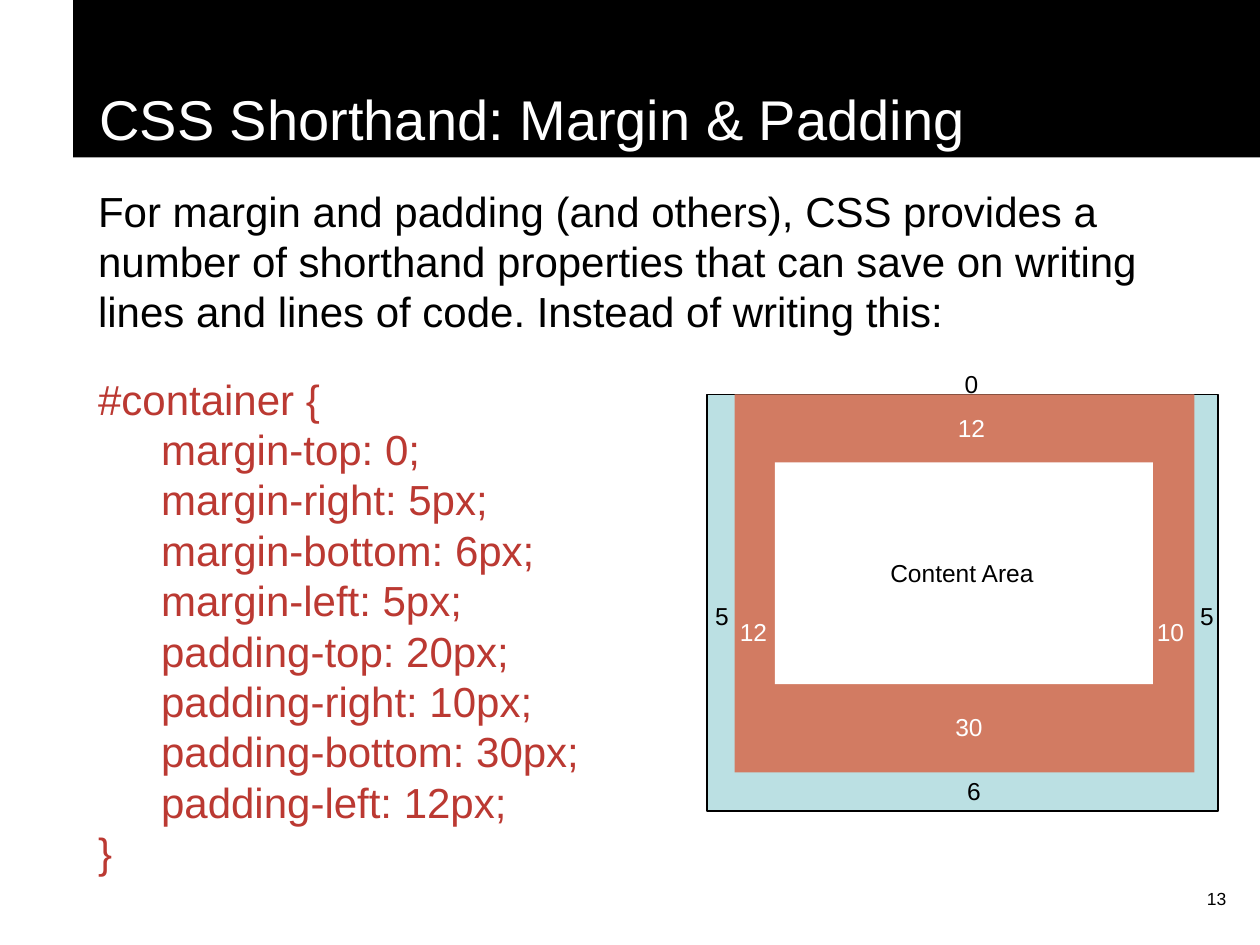
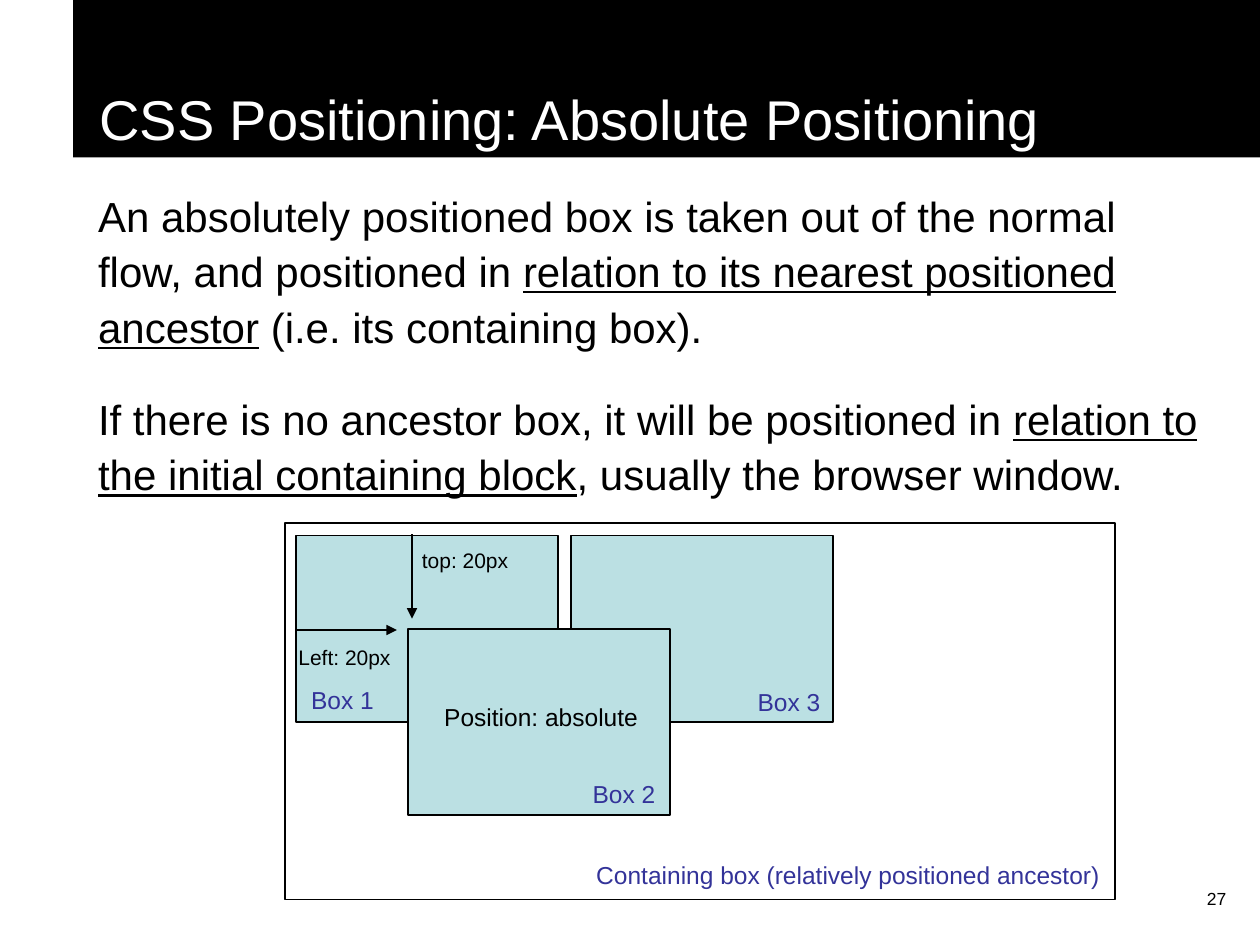
from lxml import etree
from pptx import Presentation, util as u
from pptx.dml.color import RGBColor
from pptx.enum import shapes, text
from pptx.oxml.ns import qn

BLACK = RGBColor(0, 0, 0)
WHITE = RGBColor(0xFF, 0xFF, 0xFF)
CODE_RED = RGBColor(0xBB, 0x39, 0x32)
PALE_BLUE = RGBColor(0xBB, 0xE0, 0xE3)
CLAY = RGBColor(0xD2, 0x7B, 0x62)
LABEL_BLUE = RGBColor(0x33, 0x33, 0x99)

FONT = "Arial"
LEFT, CENTER, RIGHT = text.PP_ALIGN.LEFT, text.PP_ALIGN.CENTER, text.PP_ALIGN.RIGHT
LINE_RATIO = 1.2  # line pitch relative to the text size
LABEL_H = 0.34


def inches(*lengths):
    return [u.Inches(length) for length in lengths]


def add_run(paragraph, words, size, color, underline=None):
    run = paragraph.add_run()
    run.text = words
    run.font.name = FONT
    run.font.size = u.Pt(size)
    run.font.color.rgb = color
    run.font.underline = underline


def set_indent(paragraph, left):
    properties = paragraph._p.get_or_add_pPr()
    properties.set("marL", str(u.Inches(left)))
    properties.set("indent", "0")


def set_tabs(paragraph, stops):
    tab_list = etree.SubElement(paragraph._p.get_or_add_pPr(), qn("a:tabLst"))
    for stop in stops:
        etree.SubElement(tab_list, qn("a:tab"), pos=str(u.Inches(stop)), algn="l")


def add_rect(slide, box, fill=None, outlined=False):
    rect = slide.shapes.add_shape(shapes.MSO_SHAPE.RECTANGLE, *inches(*box))
    rect.shadow.inherit = False
    if fill is None:
        rect.fill.background()
    else:
        rect.fill.solid()
        rect.fill.fore_color.rgb = fill
    if outlined:
        rect.line.color.rgb = BLACK
        rect.line.width = u.Pt(1)
    else:
        rect.line.fill.background()
    return rect


def add_label(slide, box, words, size=14, color=BLACK, align=CENTER):
    label = slide.shapes.add_textbox(*inches(*box)).text_frame
    label.word_wrap = True
    line = label.paragraphs[0]
    line.alignment = align
    line.line_spacing = u.Pt(size * LINE_RATIO)
    add_run(line, words, size, color)


def add_arrow(slide, start, end):
    arrow = slide.shapes.add_connector(
        shapes.MSO_CONNECTOR.STRAIGHT, *inches(*start, *end))
    arrow.line.color.rgb = BLACK
    arrow.line.width = u.Pt(0.75)
    etree.SubElement(arrow.line._get_or_add_ln(), qn("a:tailEnd"), type="triangle")
    etree.SubElement(arrow._element.spPr, qn("a:effectLst"))


def add_frame(prs, title, number):
    """Blank slide with page number and title band."""
    slide = prs.slides.add_slide(prs.slide_layouts[6])
    add_label(slide, (7.75, 7, 2.08, 0.5), number, 10, align=RIGHT)
    band = add_rect(slide, (0.58, 0, 9.42, 1.25), BLACK).text_frame
    band.word_wrap = True
    band.vertical_anchor = text.MSO_ANCHOR.BOTTOM
    heading = band.paragraphs[0]
    heading.alignment = LEFT
    set_indent(heading, 0.11)
    add_run(heading, title, 32, WHITE)
    return slide


def add_body(slide, height, paragraphs, spacing=1.0):
    """Body text; each paragraph is a list of (words, color, underline)."""
    body = slide.shapes.add_textbox(*inches(0.58, 1.42, 9.08, height)).text_frame
    body.word_wrap = True
    for index, runs in enumerate(paragraphs):
        paragraph = body.add_paragraph() if index else body.paragraphs[0]
        set_indent(paragraph, 0.1)
        paragraph.space_before, paragraph.space_after = u.Pt(15), u.Pt(6)
        paragraph.line_spacing = u.Pt(round(24 * LINE_RATIO * spacing, 1))
        set_tabs(paragraph, (0, 0.1, 1, 2, 3, 4, 5, 6))
        for words, color, underline in runs:
            for row, line in enumerate(words.split("\n")):
                if row:
                    paragraph.add_line_break()
                add_run(paragraph, line, 24, color, underline)


def add_box_model(slide, left, top):
    """Nested margin, padding and content areas with their widths."""
    areas = [((0, 0, 4.06, 3.31), PALE_BLUE, True),
             ((0.22, 0, 3.65, 3), CLAY, False),
             ((0.54, 0.54, 3, 1.76), WHITE, False)]
    for (x, y, width, height), fill, outlined in areas:
        add_rect(slide, (left + x, top + y, width, height), fill, outlined)

    add_label(slide, (left + 0.85, top + 1.25, 2.35, LABEL_H), "Content Area")
    margins = [("6", 1.65, 2.98), ("5", -0.35, 1.59), ("5", 3.5, 1.59),
               ("0", 1.63, -0.25)]
    paddings = [("12", -0.1, 1.72), ("10", 3.21, 1.72), ("30", 1.61, 2.47),
                ("12", 1.63, 0.1)]
    for widths, color in ((margins, BLACK), (paddings, WHITE)):
        for value, x, y in widths:
            add_label(slide, (left + x, top + y, 0.94, LABEL_H), value, color=color)


def add_positioning_diagram(slide, left, top):
    """Containing box with two boxes in flow and one placed absolutely."""
    box_w, box_h = 2.08, 1.48
    label_w = 2.05

    def add_box(x, y):
        add_rect(slide, (left + x, top + y, box_w, box_h), PALE_BLUE, True)

    def label(x, y, width, words, **style):
        height = 0.3 if style.get("size") == 12 else LABEL_H
        add_label(slide, (left + x, top + y, width, height), words, **style)

    # Boxes in flow and their offsets
    add_box(0.09, 0.1)
    label(0.01, 0.92, 1.11, "Left: 20px", size=12, align=LEFT)
    add_box(2.27, 0.1)
    add_rect(slide, (left, top, 6.59, 2.99), outlined=True)
    label(0.99, 0.15, 1.11, "top: 20px", size=12, align=LEFT)

    # Absolutely positioned box
    add_box(0.98, 0.84)
    label(1.01, 1.37, label_w, "Position: absolute")

    # Names of the boxes
    for words, x, y, width, align in [
            ("Box 1", 0.11, 1.24, label_w, LEFT),
            ("Box 2", 0.99, 1.98, label_w, RIGHT),
            ("Box 3", 2.3, 1.25, label_w, RIGHT),
            ("Containing box (relatively positioned ancestor)",
             0.01, 2.63, 6.56, RIGHT)]:
        label(x, y, width, words, color=LABEL_BLUE, align=align)

    # Offset arrows
    add_arrow(slide, (left + 1.01, top + 0.09), (left + 1.01, top + 0.76))
    add_arrow(slide, (left + 0.08, top + 0.85), (left + 0.89, top + 0.85))


def build_shorthand_slide(prs):
    slide = add_frame(prs, "CSS Shorthand: Margin & Padding", "13")
    rules = ["margin-top: 0;", "margin-right: 5px;", "margin-bottom: 6px;",
             "margin-left: 5px;", "padding-top: 20px;", "padding-right: 10px;",
             "padding-bottom: 30px;", "padding-left: 12px;"]
    code = "\n".join(["#container {", *("\t" + rule for rule in rules), "}"])
    intro = ("For margin and padding (and others), CSS provides a number of "
             "shorthand properties that can save on writing lines and lines "
             "of code. Instead of writing this:")
    add_body(slide, 5.65, [[(intro, BLACK, None)], [(code, CODE_RED, None)]])
    add_box_model(slide, 5.61, 3.13)


def build_positioning_slide(prs):
    slide = add_frame(prs, "CSS Positioning: Absolute Positioning", "27")
    add_body(slide, 3.38, [
        [("An absolutely positioned box is taken out of the normal flow, "
          "and positioned in ", BLACK, None),
         ("relation to its nearest positioned ancestor", BLACK, True),
         (" (i.e. its containing box).", BLACK, None)],
        [("If there is no ancestor box, it will be positioned in ", BLACK, None),
         ("relation to the initial containing block", BLACK, True),
         (", usually the browser window.", BLACK, None)],
    ], spacing=1.1)
    add_positioning_diagram(slide, 2.26, 4.15)


def main():
    prs = Presentation()
    prs.slide_width, prs.slide_height = inches(10, 7.5)
    build_shorthand_slide(prs)
    build_positioning_slide(prs)
    prs.save("out.pptx")


if __name__ == "__main__":
    main()
